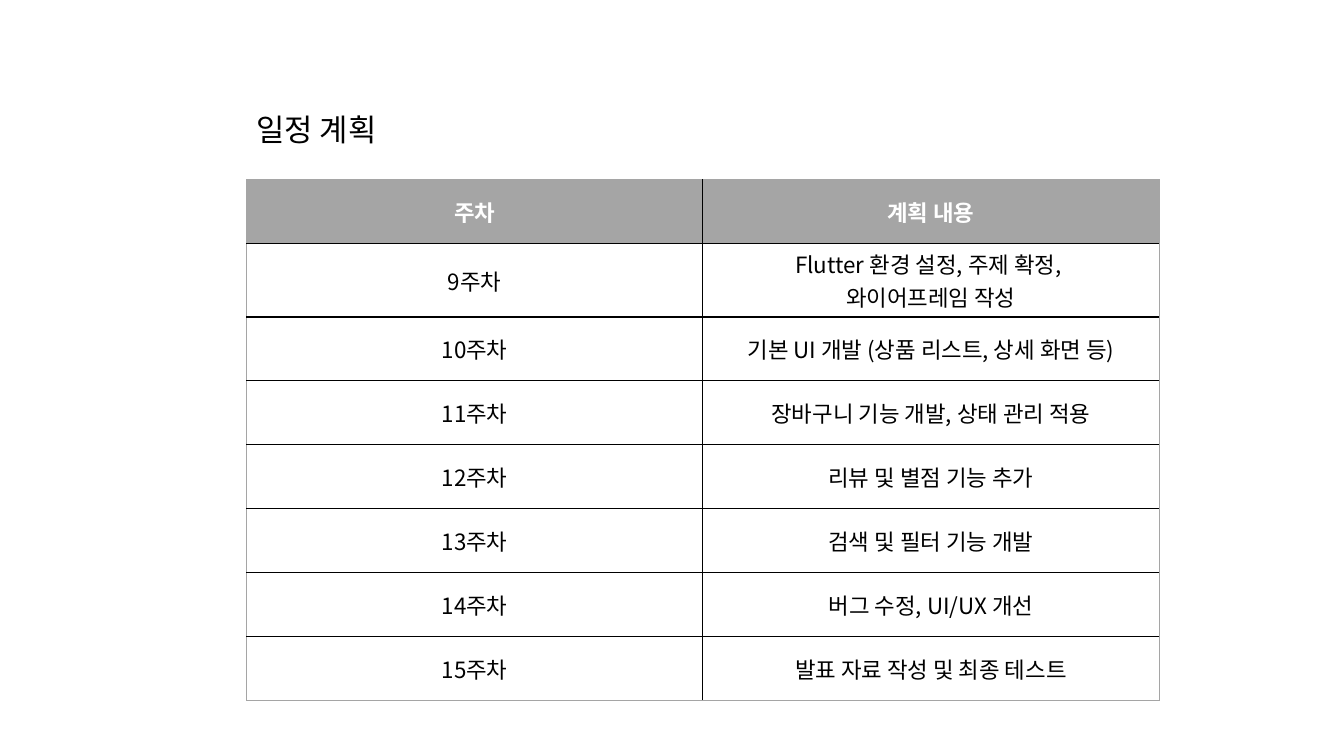
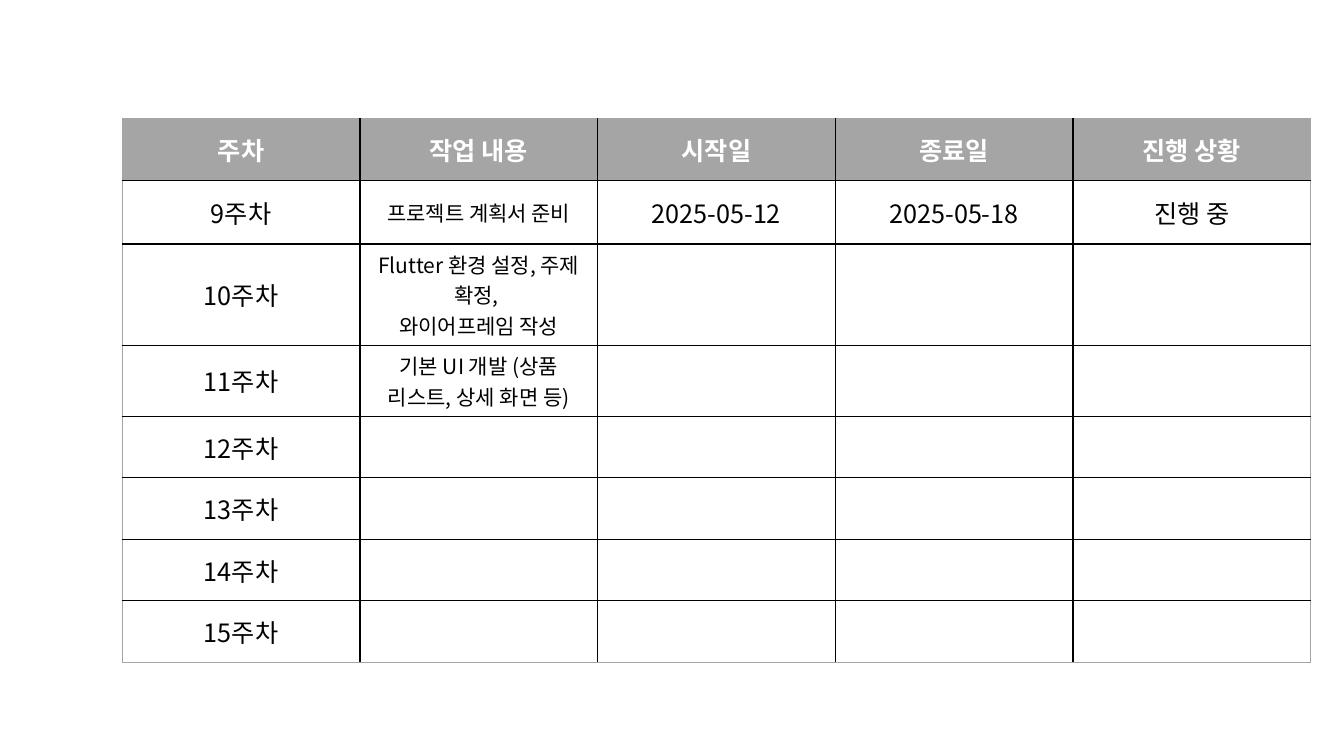
from dataclasses import dataclass

from lxml import etree
from pptx import Presentation
from pptx.dml.color import RGBColor
from pptx.enum import text
from pptx.oxml import ns
from pptx.util import Cm, Pt


@dataclass(frozen=True)
class Theme:
    font: str = "Noto Sans CJK KR"
    ink: str = "000000"
    paper: str = "FFFFFF"
    accent: str = "A5A5A5"
    title_size: float = 22
    plan_size: float = 16
    progress_size: float = 18
    task_size: float = 15
    inner_line: float = 1
    outer_line: float = 0.5


THEME = Theme()
TITLE_ONLY, BLANK = 5, 6
WEEKS = [f"{week}주차" for week in range(9, 16)]
SETUP = "Flutter 환경 설정, 주제 확정, \n와이어프레임 작성"
BASIC_UI = "기본 UI 개발 (상품 리스트, 상세 화면 등)"

PLAN_HEAD = ["주차", "계획 내용"]
PLANS = [
    SETUP,
    BASIC_UI,
    "장바구니 기능 개발, 상태 관리 적용",
    "리뷰 및 별점 기능 추가",
    "검색 및 필터 기능 개발",
    "버그 수정, UI/UX 개선",
    "발표 자료 작성 및 최종 테스트",
]

PROGRESS_HEAD = ["주차", "작업 내용", "시작일", "종료일", "진행 상황"]
PROGRESS = [
    ["프로젝트 계획서 준비", "2025-05-12", "2025-05-18", "진행 중"],
    [SETUP],
    [BASIC_UI],
]


def add_run(paragraph, words, size, color, bold=False):
    run = paragraph.add_run()
    run.text = words
    font = run.font
    font.name, font.size, font.bold = THEME.font, Pt(size), bold
    font.color.rgb = RGBColor.from_string(color)
    # Hangul takes the East Asian typeface
    east_asian = etree.SubElement(run._r.get_or_add_rPr(), ns.qn("a:ea"))
    east_asian.set("typeface", THEME.font)


def set_border(cell, side, on_edge):
    color = THEME.accent if on_edge else THEME.ink
    width = THEME.outer_line if on_edge else THEME.inner_line
    line = etree.SubElement(cell._tc.get_or_add_tcPr(), ns.qn(f"a:ln{side}"))
    line.set("w", str(Pt(width)))
    fill = etree.SubElement(line, ns.qn("a:solidFill"))
    etree.SubElement(fill, ns.qn("a:srgbClr")).set("val", color)


def fill_cell(cell, words, size, is_head):
    cell.vertical_anchor = text.MSO_ANCHOR.MIDDLE
    cell.fill.solid()
    cell.fill.fore_color.rgb = RGBColor.from_string(
        THEME.accent if is_head else THEME.paper)
    frame = cell.text_frame
    for index, line in enumerate(words.split("\n") if words else []):
        paragraph = frame.add_paragraph() if index else frame.paragraphs[0]
        paragraph.alignment = text.PP_ALIGN.CENTER
        add_run(paragraph, line, size, THEME.paper if is_head else THEME.ink, is_head)


def add_schedule(slide, box, head, body, size, column_sizes=None, row_heights=None,
                 insets=None):
    """Place a schedule in box (left, top, column width, row height), in cm."""
    left, top, column_width, row_height = box
    rows = [head, *body]
    last_row, last_column = len(rows) - 1, len(head) - 1
    schedule = slide.shapes.add_table(
        len(rows), len(head), Cm(left), Cm(top),
        Cm(column_width * len(head)), Cm(row_height * len(rows))).table
    schedule.first_row = schedule.horz_banding = False
    for column in schedule.columns:
        column.width = Cm(column_width)

    for r, row in enumerate(rows):
        schedule.rows[r].height = Cm((row_heights or {}).get(r, row_height))
        for c in range(len(head)):
            cell = schedule.cell(r, c)
            edges = {"L": c == 0, "R": c == last_column, "T": r == 0, "B": r == last_row}
            for side, on_edge in edges.items():
                set_border(cell, side, on_edge)
            if insets:
                cell.margin_left = cell.margin_right = Cm(insets[0])
                cell.margin_top = cell.margin_bottom = Cm(insets[1])
            cell_size = (column_sizes or {}).get(c, size) if r else size
            fill_cell(cell, row[c] if c < len(row) else "", cell_size, r == 0)


def add_title(slide, box, words):
    title = slide.shapes.title
    title.left, title.top, title.width, title.height = map(Cm, box)
    title.text_frame.vertical_anchor = text.MSO_ANCHOR.MIDDLE
    title.text_frame.word_wrap = True
    paragraph = title.text_frame.paragraphs[0]
    paragraph.alignment = text.PP_ALIGN.LEFT
    paragraph.line_spacing = 0.9
    add_run(paragraph, words, THEME.title_size, THEME.ink)


def build_plan(deck):
    slide = deck.slides.add_slide(deck.slide_layouts[TITLE_ONLY])
    add_schedule(slide, (6.21, 4.53, 11.5, 1.61), PLAN_HEAD,
                 list(zip(WEEKS, PLANS)), THEME.plan_size, insets=(0.23, 0.11))
    add_title(slide, (6.21, 2.46, 4.14, 1.7), "일정 계획")


def build_progress(deck):
    slide = deck.slides.add_slide(deck.slide_layouts[BLANK])
    # Weeks without an entry keep their cells empty
    entries = PROGRESS + [[]] * (len(WEEKS) - len(PROGRESS))
    body = [[week, *entry] for week, entry in zip(WEEKS, entries)]
    add_schedule(slide, (3.08, 2.99, 5.99, 1.55), PROGRESS_HEAD, body,
                 THEME.progress_size, column_sizes={1: THEME.task_size},
                 row_heights={1: 1.61})


def main():
    deck = Presentation()
    deck.slide_width, deck.slide_height = Cm(33.87), Cm(19.05)
    build_plan(deck)
    build_progress(deck)
    deck.save("out.pptx")


if __name__ == "__main__":
    main()
